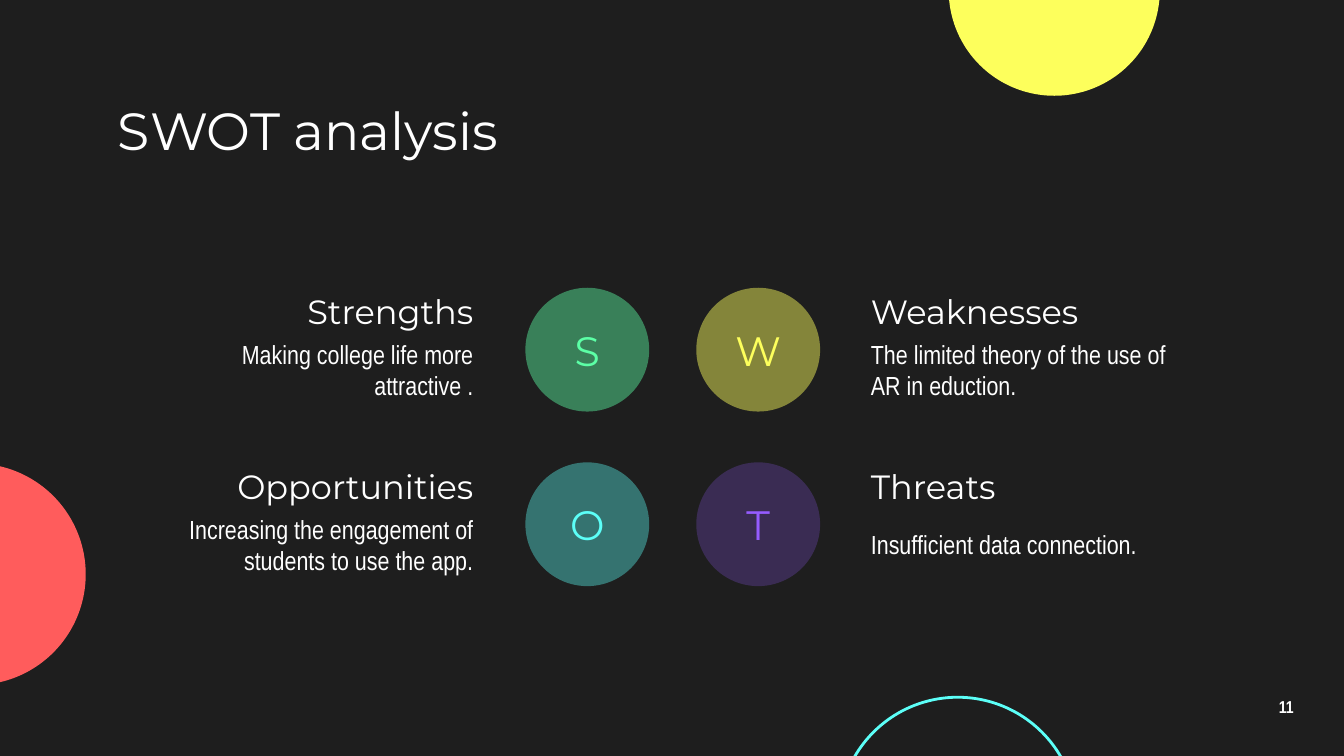
from dataclasses import dataclass

from lxml import etree
from pptx import Presentation
from pptx.dml.color import RGBColor
from pptx.enum.shapes import MSO_SHAPE
from pptx.enum.text import MSO_ANCHOR, MSO_AUTO_SIZE, PP_ALIGN
from pptx.oxml.ns import qn
from pptx.util import Cm, Pt

OVAL = MSO_SHAPE.OVAL
MIDDLE = MSO_ANCHOR.MIDDLE
NO_FIT = MSO_AUTO_SIZE.NONE
LEFT, CENTER, RIGHT = PP_ALIGN.LEFT, PP_ALIGN.CENTER, PP_ALIGN.RIGHT

DARK = RGBColor(0x1E, 0x1E, 0x1E)
WHITE = RGBColor(0xFF, 0xFF, 0xFF)
YELLOW = RGBColor(0xFD, 0xFF, 0x5C)
RED = RGBColor(0xFF, 0x5C, 0x5C)
CYAN = RGBColor(0x5C, 0xFF, 0xF8)
GREEN = RGBColor(0x5C, 0xFF, 0xA6)
PURPLE = RGBColor(0x95, 0x5C, 0xFF)

HEAD_FONT = "Montserrat"
BODY_FONT = "Arial Narrow"

INSET = 0.25
BADGE = 2.34
BADGE_X = (9.93, 13.16)
TEXT_X = (2.82, 16.21)
TEXT_W = 6.38
TEXT_ALIGN = (RIGHT, LEFT)
ROW_Y = (5.44, 8.74)
HEADING_H = 0.89
BODY_OFFSET = 0.94
BODY_H = 1.22


@dataclass
class Quadrant:
    heading: str
    body: str
    color: RGBColor
    opacity: int
    inset: float = INSET


@dataclass
class Style:
    font: str
    size: float
    color: RGBColor = WHITE
    align: PP_ALIGN = LEFT
    bold: bool = False


QUADRANTS = [
    Quadrant("Strengths", "Making college life more attractive .", GREEN, 44),
    Quadrant("Weaknesses", "The limited theory of the use of AR in eduction.", YELLOW, 46, 0),
    Quadrant("Opportunities", "Increasing the engagement of students to use the app.", CYAN, 38),
    Quadrant("Threats", "Insufficient data connection.", PURPLE, 24),
]


def write(s, text: str, style: Style, inset: float = INSET):
    tf = s.text_frame
    tf.word_wrap = True
    tf.auto_size = NO_FIT
    tf.vertical_anchor = MIDDLE
    tf.margin_left = tf.margin_right = tf.margin_top = tf.margin_bottom = Cm(inset)
    p = tf.paragraphs[0]
    p.text = text
    p.alignment = style.align
    p.font.name = style.font
    p.font.size = Pt(style.size)
    p.font.bold = style.bold
    p.font.color.rgb = style.color
    return p


def add_text(slide, x: float, y: float, w: float, h: float, text: str, style: Style):
    return write(slide.shapes.add_textbox(Cm(x), Cm(y), Cm(w), Cm(h)), text, style)


def add_circle(slide, x: float, y: float, size: float):
    sp = slide.shapes.add_shape(OVAL, Cm(x), Cm(y), Cm(size), Cm(size))
    sp.shadow.inherit = False
    sp.fill.background()
    sp.line.fill.background()
    return sp


def fill_circle(sp, color: RGBColor, opacity: int = 100) -> None:
    sp.fill.solid()
    sp.fill.fore_color.rgb = color
    if opacity < 100:
        clr = sp.fill._xPr.find(qn("a:solidFill"))[0]
        etree.SubElement(clr, qn("a:alpha")).set("val", str(opacity * 1000))


def add_quadrant(slide, q: Quadrant, row: int, col: int) -> None:
    x, y, align = TEXT_X[col], ROW_Y[row], TEXT_ALIGN[col]
    badge = add_circle(slide, BADGE_X[col], y, BADGE)
    fill_circle(badge, q.color, q.opacity)
    write(badge, q.heading[0], Style(HEAD_FONT, 22, q.color, CENTER), q.inset)
    add_text(slide, x, y, TEXT_W, HEADING_H, q.heading, Style(HEAD_FONT, 18, align=align))
    add_text(slide, x, y + BODY_OFFSET, TEXT_W, BODY_H, q.body, Style(BODY_FONT, 14, align=align))


prs = Presentation()
prs.slide_width, prs.slide_height = Cm(25.4), Cm(14.29)
slide = prs.slides.add_slide(prs.slide_layouts[5])
slide.background.fill.solid()
slide.background.fill.fore_color.rgb = DARK

fill_circle(add_circle(slide, 17.93, -2.18, 3.99), YELLOW)
fill_circle(add_circle(slide, -2.57, 8.76, 4.19), RED)
ring = add_circle(slide, 15.85, 13.18, 4.5)
ring.line.color.rgb = CYAN
ring.line.width = Pt(1.5)

title = slide.shapes.title
title.left, title.top, title.width, title.height = Cm(1.98), Cm(1.8), Cm(21.44), Cm(1.3)
write(title, "SWOT analysis", Style(HEAD_FONT, 28))

page_number = add_text(slide, 23.55, 12.95, 1.52, 0.86, "11",
                       Style(BODY_FONT, 9.2, align=CENTER, bold=True))
page_number.line_spacing = 0.9

for i, quadrant in enumerate(QUADRANTS):
    add_quadrant(slide, quadrant, *divmod(i, 2))

prs.save("out.pptx")
